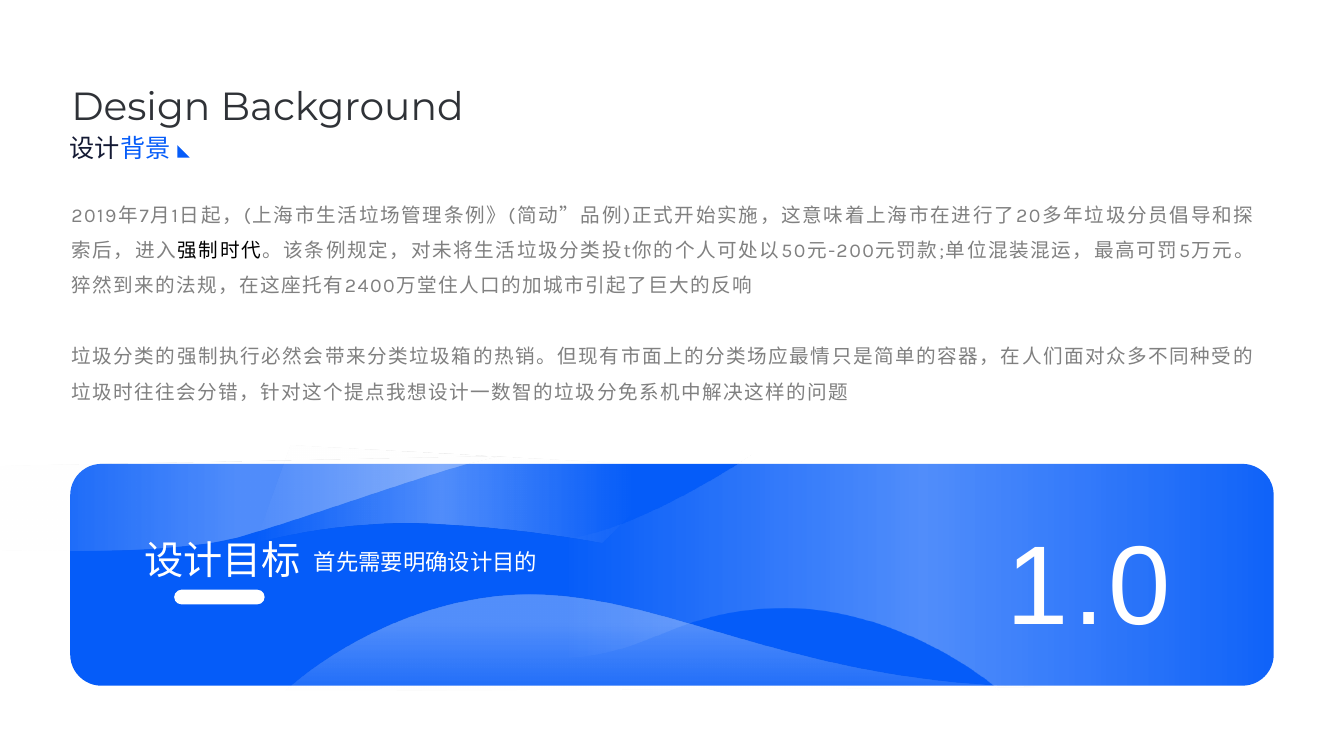
from lxml.etree import SubElement
from pptx import Presentation
from pptx.dml.color import RGBColor
from pptx.enum.shapes import MSO_SHAPE
from pptx.enum.text import MSO_AUTO_SIZE, PP_ALIGN
from pptx.oxml.ns import qn
from pptx.util import Cm, Pt

COLORS = {
    "blue": "055CF9",
    "white": "FFFFFF",
    "title": "2F3237",
    "navy": "141A34",
    "grey": "808080",
    "black": "000000",
}

# Each wave: start point, then lines (x, y) and Bezier curves (six numbers), in cm;
# white gradient stops as (position %, opacity %); gradient angle in degrees
WAVES = [
    ((5.94, 13.54),
     [(4.32, 13.94, 1.04, 13.89, -0.41, 13.82), (-0.41, 11.76), (12.67, 11.51),
      (11.79, 11.56, 7.72, 13.06, 5.94, 13.54)],
     [(0, 0), (49, 30)], 0),
    ((14.86, 13.46),
     [(13.41, 13.82, 11.61, 13.61, 10.9, 13.46), (13.59, 16.56),
      (16.38, 16.71, 16.74, 15.32, 19.81, 15.32),
      (22.25, 15.32, 24.41, 16.71, 25.2, 17.4),
      (33.35, 17.4), (33.35, 11.46), (18.97, 11.46),
      (18.21, 11.96, 16.31, 13.11, 14.86, 13.46)],
     [(15, 0), (55, 30), (100, 0)], 0),
    ((10.74, 13.18),
     [(8.79, 13.11, 7.06, 13.49, 6.43, 13.67), (7.32, 11.23), (17.09, 11.76),
      (15.16, 13.67), (14.5, 13.54, 12.7, 13.26, 10.74, 13.18)],
     [(0, 0), (44, 30), (89, 0)], 0),
    ((13.36, 14.99),
     [(10.46, 14.99, 8.05, 16.61, 7.21, 17.4), (26.67, 17.3),
      (20.09, 17.32, 16.94, 14.99, 13.36, 14.99)],
     [(29, 31), (100, 10)], 90),
]

BODY = [
    [("2019年7月1日起，(上海市生活垃场管理条例》(简动”品例)正式开始实施，"
      "这意味着上海市在进行了20多年垃圾分员倡导和探索后，进入", "grey"),
     ("强制时代", "black"),
     ("。该条例规定，对未将生活垃圾分类投t你的个人可处以50元-200元罚款;"
      "单位混装混运，最高可罚5万元。猝然到来的法规，"
      "在这座托有2400万堂住人口的加城市引起了巨大的反响", "grey")],
    [("垃圾分类的强制执行必然会带来分类垃圾箱的热销。"
      "但现有市面上的分类场应最情只是简单的容器，"
      "在人们面对众多不同种受的垃圾时往往会分错，"
      "针对这个提点我想设计一数智的垃圾分免系机中解决这样的问题", "grey")],
]


def add_solid(page, kind, left, top, width, height, color, rounding=None):
    shape = page.shapes.add_shape(kind, Cm(left), Cm(top), Cm(width), Cm(height))
    shape.shadow.inherit = False
    shape.fill.solid()
    shape.fill.fore_color.rgb = RGBColor.from_string(COLORS[color])
    shape.line.fill.background()
    if rounding is not None:
        shape.adjustments[0] = rounding


def bend_lines(shape, segments):
    """Turn the straight segments that carry control points into Bezier curves."""
    lines = list(shape.element.spPr.iter(qn("a:lnTo")))
    for line, segment in zip(lines, segments):
        if len(segment) == 2:
            continue
        curve = SubElement(line.getparent(), qn("a:cubicBezTo"))
        for x, y in zip(segment[::2], segment[1::2]):
            SubElement(curve, qn("a:pt"),
                       x=str(Cm(x) - shape.left), y=str(Cm(y) - shape.top))
        line.getparent().replace(line, curve)


def fade_white(shape, stops, angle):
    shape.fill.gradient()
    shape.fill.gradient_angle = 0
    gradient = shape.element.spPr.find(qn("a:gradFill"))
    stop_list = gradient.find(qn("a:gsLst"))
    for stop in list(stop_list):
        stop_list.remove(stop)
    for position, opacity in stops:
        stop = SubElement(stop_list, qn("a:gs"), pos=str(position * 1000))
        color = SubElement(stop, qn("a:srgbClr"), val=COLORS["white"])
        SubElement(color, qn("a:alpha"), val=str(opacity * 1000))
    gradient.find(qn("a:lin")).set("ang", str(angle * 60000))


def add_wave(page, start, segments, stops, angle):
    builder = page.shapes.build_freeform(Cm(start[0]), Cm(start[1]))
    ends = [(Cm(segment[-2]), Cm(segment[-1])) for segment in segments]
    builder.add_line_segments(ends, close=True)
    shape = builder.convert_to_shape()
    bend_lines(shape, segments)
    shape.shadow.inherit = False
    shape.line.fill.background()
    fade_white(shape, stops, angle)


def add_span(para, text, size, color, font="Karla", spacing=0):
    span = para.add_run()
    span.text = text
    span.font.size = Pt(size)
    span.font.name = font
    span.font.color.rgb = RGBColor.from_string(COLORS[color])
    if spacing:
        span._r.get_or_add_rPr().set("spc", str(spacing * 100))


def add_box(page, left, top, width, height, wrap=False):
    box = page.shapes.add_textbox(Cm(left), Cm(top), Cm(width), Cm(height))
    box.text_frame.word_wrap = wrap
    box.text_frame.auto_size = MSO_AUTO_SIZE.SHAPE_TO_FIT_TEXT
    return box.text_frame


def add_label(page, text, left, top, width, height, align=PP_ALIGN.LEFT, **style):
    para = add_box(page, left, top, width, height).paragraphs[0]
    para.alignment = align
    add_span(para, text, **style)


def add_body(page):
    frame = add_box(page, 1.55, 4.69, 30.33, 5.56, wrap=True)
    for index, spans in enumerate(BODY):
        para = frame.add_paragraph() if index else frame.paragraphs[0]
        para.alignment = PP_ALIGN.JUSTIFY
        para.line_spacing = 1.5
        if index:
            para.space_before = Pt(25.5)
        for text, color in spans:
            add_span(para, text, 14, color, spacing=1)


def main():
    deck = Presentation()
    deck.slide_width, deck.slide_height = Cm(33.87), Cm(19.05)
    page = deck.slides.add_slide(deck.slide_layouts[6])

    # Heading marker and blue card with waves
    add_solid(page, MSO_SHAPE.RIGHT_TRIANGLE, 4.47, 3.66, 0.31, 0.31, "blue")
    add_solid(page, MSO_SHAPE.ROUNDED_RECTANGLE, 1.77, 11.69, 30.33, 5.59, "blue", 0.141)
    for wave in WAVES:
        add_wave(page, *wave)
    add_solid(page, MSO_SHAPE.ROUNDED_RECTANGLE, 4.39, 14.86, 2.28, 0.37, "white", 0.5)

    # Heading
    add_label(page, "Design Background", 1.55, 1.93, 11.1, 1.45,
              size=28, color="title", font="Montserrat")
    add_label(page, "设计", 1.5, 3.2, 1.8, 1.02, size=18, color="navy")
    add_label(page, "背景", 2.79, 3.2, 1.8, 1.02, size=18, color="blue")

    add_body(page)

    # Card text
    add_label(page, "设计目标", 3.39, 13.36, 4.5, 1.45, size=28, color="white")
    add_label(page, "首先需要明确设计目的", 7.66, 13.69, 6.22, 0.94, size=16, color="white")
    add_label(page, "1.0", 24.33, 12.8, 6.22, 3.68, align=PP_ALIGN.CENTER,
              size=80, color="white", font="Arial", spacing=3)

    deck.save("out.pptx")


if __name__ == "__main__":
    main()
